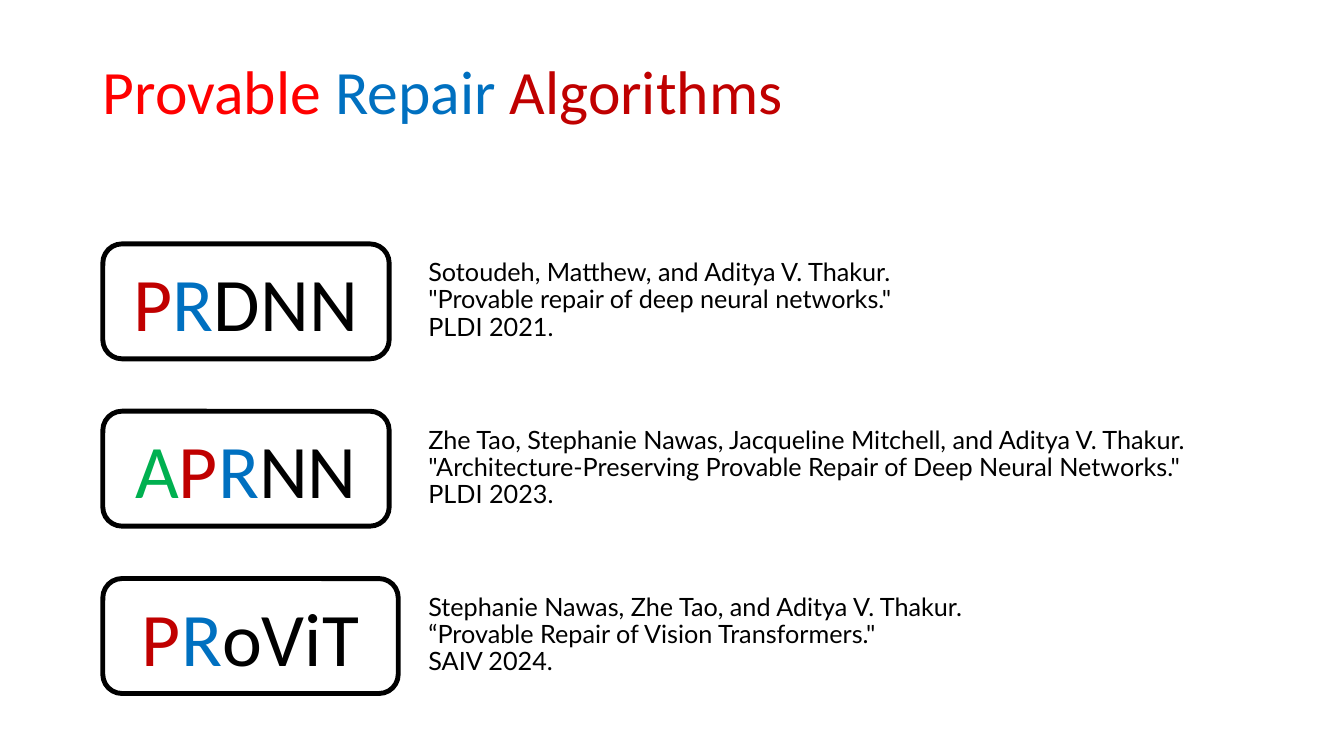
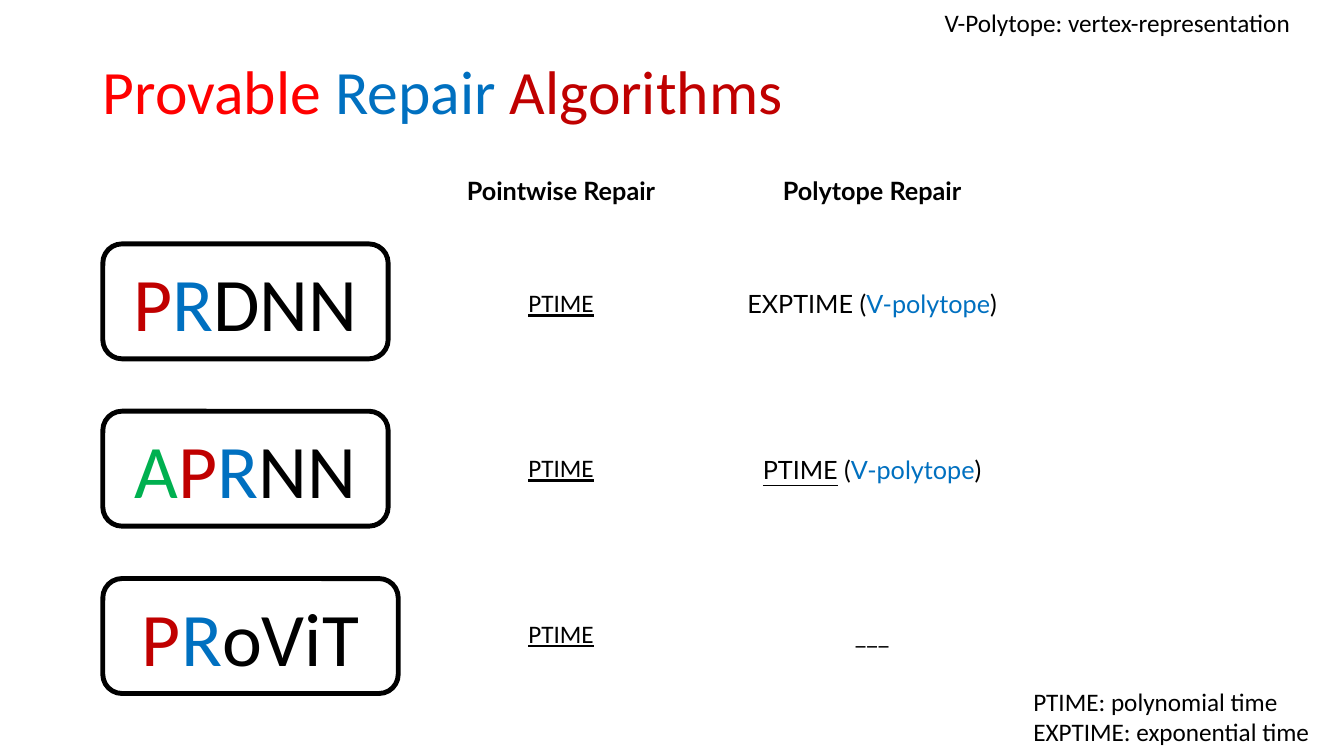
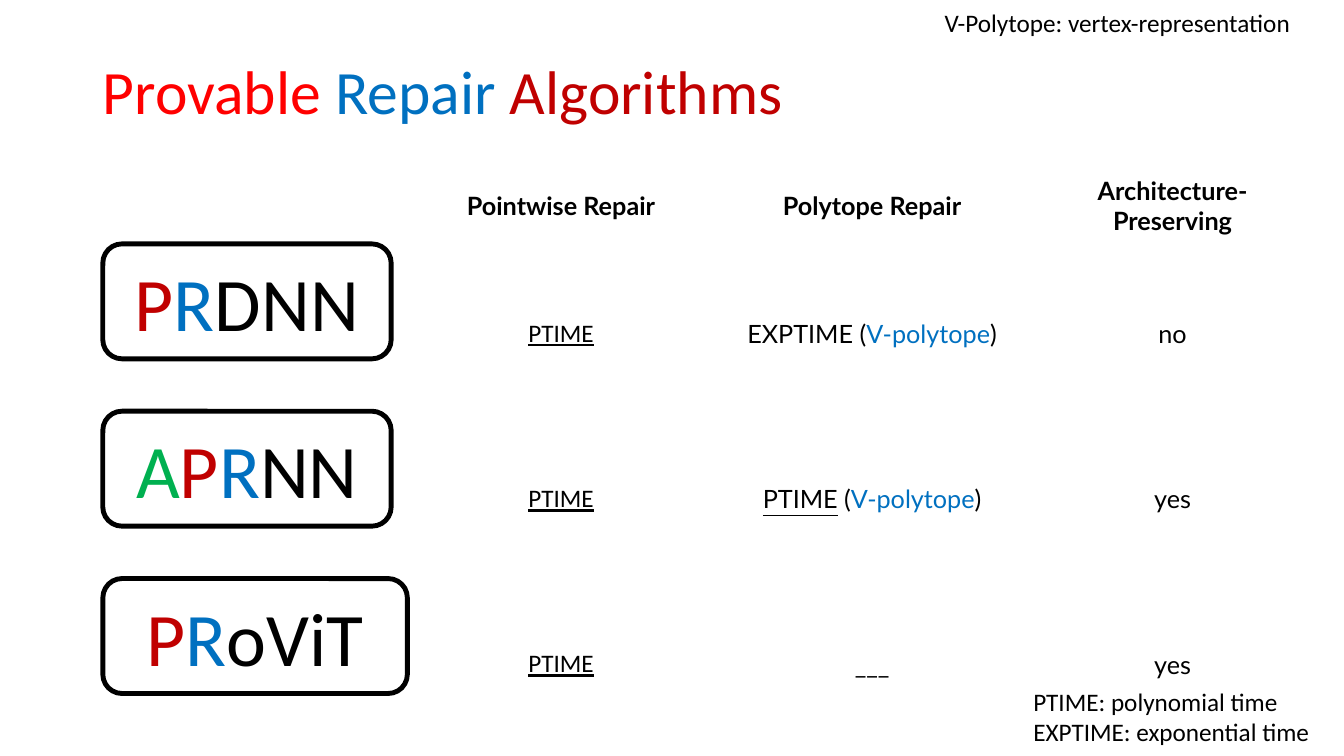
from dataclasses import dataclass
from typing import NamedTuple, Optional

from pptx import Presentation
from pptx.dml.color import RGBColor
from pptx.enum.shapes import MSO_SHAPE
from pptx.enum.text import MSO_ANCHOR, MSO_AUTO_SIZE, PP_ALIGN
from pptx.slide import Slide
from pptx.text.text import TextFrame
from pptx.util import Inches, Pt

# Shared style
BLACK = RGBColor(0x00, 0x00, 0x00)
RED = RGBColor(0xFF, 0x00, 0x00)
DARK_RED = RGBColor(0xC0, 0x00, 0x00)
BLUE = RGBColor(0x00, 0x70, 0xC0)
GREEN = RGBColor(0x00, 0xB0, 0x50)
HEADING_FONT = "Calibri"
BODY_FONT = "Lato"

# Shared grid, in inches
ROW_TOP = 2.42
ROW_PITCH = 1.66
BADGE_LEFT = 1.02
BADGE_HEIGHT = 1.14
COLUMN_WIDTHS = (3.01, 3.16, 2.8)
ROW_HEIGHTS = (0.59, 1.64, 1.64, 1.64)
CELL_MARGIN = Inches(0.15)


class Span(NamedTuple):
    text: str
    color: RGBColor = BLACK
    underline: bool = False
    font: Optional[str] = None


Line = tuple[Span, ...]


class Citation(NamedTuple):
    text: str
    width: float


class Note(NamedTuple):
    lines: tuple[str, ...]
    left: float
    top: float
    width: float
    height: float


@dataclass(frozen=True)
class Stage:
    """One step of the build-up: badge widths, table height and filled cells."""
    badge_widths: tuple[float, ...]
    table_height: float
    rows: tuple[tuple[Line, ...], ...] = ()


# Content
TITLE: Line = (Span("Provable ", RED), Span("Repair ", BLUE), Span("Algorithms", DARK_RED))
P, R = Span("P", DARK_RED), Span("R", BLUE)
ALGORITHMS: tuple[Line, ...] = (
    (P, R, Span("DNN")),
    (Span("A", GREEN), P, R, Span("NN")),
    (P, R, Span("oViT")),
)
CITATIONS = (
    Citation("Sotoudeh, Matthew, and Aditya V. Thakur.\n"
             "\"Provable repair of deep neural networks.\"\nPLDI 2021.", 5.02),
    Citation("Zhe Tao, Stephanie Nawas, Jacqueline Mitchell, and Aditya V. Thakur. "
             "\"Architecture-Preserving Provable Repair of Deep Neural Networks.\"\n"
             "PLDI 2023.", 8.39),
    Citation("Stephanie Nawas, Zhe Tao, and Aditya V. Thakur.\n"
             "“Provable Repair of Vision Transformers.\"\nSAIV 2024.", 8.39),
)
NOTES = (
    Note(("PTIME: polynomial time", "EXPTIME: exponential time"), 10.15, 6.76, 3.33, 0.71),
    Note(("V-Polytope: vertex-representation",), 9.27, 0.02, 4.06, 0.4),
)
POINTWISE: Line = (Span("PTIME", underline=True, font=HEADING_FONT),)
V_POLYTOPE = Span("V-polytope", BLUE)
COST_ROWS: tuple[tuple[Line, ...], ...] = (
    ((Span("Pointwise Repair"),), (Span("Polytope Repair"),)),
    (POINTWISE, (Span("EXPTIME ("), V_POLYTOPE, Span(")"))),
    (POINTWISE, (Span("PTIME", underline=True), Span(" ("), V_POLYTOPE, Span(")"))),
    (POINTWISE, (Span("___"),)),
)
PRESERVING = ("Architecture-Preserving", "no", "yes", "yes")
PRESERVING_ROWS = tuple(
    (*row, (Span(answer),)) for row, answer in zip(COST_ROWS, PRESERVING))
STAGES = (
    Stage((2.84, 2.84, 2.93), 5.52),
    Stage((2.83, 2.83, 2.93), 5.52, COST_ROWS),
    Stage((2.86, 2.86, 3.02), 5.82, PRESERVING_ROWS),
)


def write(frame: TextFrame, *lines: Line, size: float = 18, font: str = HEADING_FONT,
          bold: bool = False, align: Optional[PP_ALIGN] = None,
          spacing: Optional[float] = None) -> None:
    """Fill a frame with one paragraph per line; a newline in a span breaks the line."""
    for index, line in enumerate(lines):
        paragraph = frame.add_paragraph() if index else frame.paragraphs[0]
        paragraph.alignment = align
        paragraph.line_spacing = spacing
        for span in line:
            for part, text in enumerate(span.text.split("\n")):
                if part:
                    paragraph.add_line_break()
                run = paragraph.add_run()
                run.text = text
                run.font.size = Pt(size)
                run.font.name = span.font or font
                run.font.bold = bold
                run.font.underline = span.underline
                run.font.color.rgb = span.color


def add_title(slide: Slide) -> None:
    title = slide.shapes.title
    title.left, title.top = Inches(0.92), Inches(0.21)
    title.width, title.height = Inches(11.5), Inches(1.45)
    title.text_frame.auto_size = MSO_AUTO_SIZE.NONE
    title.text_frame.vertical_anchor = MSO_ANCHOR.MIDDLE
    write(title.text_frame, TITLE, size=44, align=PP_ALIGN.LEFT, spacing=0.9)


def add_badges(slide: Slide, widths: tuple[float, ...]) -> None:
    for row, (name, width) in enumerate(zip(ALGORITHMS, widths)):
        badge = slide.shapes.add_shape(
            MSO_SHAPE.ROUNDED_RECTANGLE, Inches(BADGE_LEFT), Inches(ROW_TOP + row * ROW_PITCH),
            Inches(width), Inches(BADGE_HEIGHT))
        badge.shadow.inherit = False
        badge.fill.background()
        badge.line.color.rgb = BLACK
        badge.line.width = Pt(3.5)
        badge.text_frame.vertical_anchor = MSO_ANCHOR.MIDDLE
        write(badge.text_frame, name, size=54, align=PP_ALIGN.CENTER)


def add_text_box(slide: Slide, left: float, top: float, width: float,
                 height: float) -> TextFrame:
    frame = slide.shapes.add_textbox(
        Inches(left), Inches(top), Inches(width), Inches(height)).text_frame
    frame.word_wrap = True
    frame.auto_size = MSO_AUTO_SIZE.SHAPE_TO_FIT_TEXT
    return frame


def add_citations(slide: Slide) -> None:
    for row, citation in enumerate(CITATIONS):
        frame = add_text_box(slide, 4.15, ROW_TOP + 0.11 + row * ROW_PITCH, citation.width, 0.92)
        write(frame, (Span(citation.text),), font=BODY_FONT, spacing=0.9)


def add_notes(slide: Slide) -> None:
    for note in NOTES:
        frame = add_text_box(slide, note.left, note.top, note.width, note.height)
        write(frame, *((Span(line),) for line in note.lines))


def add_comparison(slide: Slide, stage: Stage) -> None:
    holder = slide.shapes.add_table(
        len(ROW_HEIGHTS), len(COLUMN_WIDTHS), Inches(4.06), Inches(1.59),
        Inches(sum(COLUMN_WIDTHS)), Inches(stage.table_height))
    table = holder.table
    table.first_row = table.horz_banding = False
    for column, width in zip(table.columns, COLUMN_WIDTHS):
        column.width = Inches(width)
    for row, height in zip(table.rows, ROW_HEIGHTS):
        row.height = Inches(height)
    # The header row grows with its text, so the frame keeps its own height
    holder.height = Inches(stage.table_height)
    for cell in table.iter_cells():
        cell.fill.background()
        cell.vertical_anchor = MSO_ANCHOR.MIDDLE
        cell.margin_left = cell.margin_right = CELL_MARGIN
        cell.margin_top = cell.margin_bottom = CELL_MARGIN
    for r, entries in enumerate(stage.rows):
        for c, entry in enumerate(entries):
            write(table.cell(r, c).text_frame, entry, font=BODY_FONT, bold=r == 0,
                  align=PP_ALIGN.CENTER)


def main() -> None:
    deck = Presentation()
    deck.slide_width, deck.slide_height = Inches(13.33), Inches(7.5)
    title_only = deck.slide_layouts[5]

    # Papers first, then running times, then architecture preservation
    for stage in STAGES:
        slide = deck.slides.add_slide(title_only)
        add_comparison(slide, stage)
        add_title(slide)
        add_badges(slide, stage.badge_widths)
        if stage.rows:
            add_notes(slide)
        else:
            add_citations(slide)

    deck.save("out.pptx")


if __name__ == "__main__":
    main()
